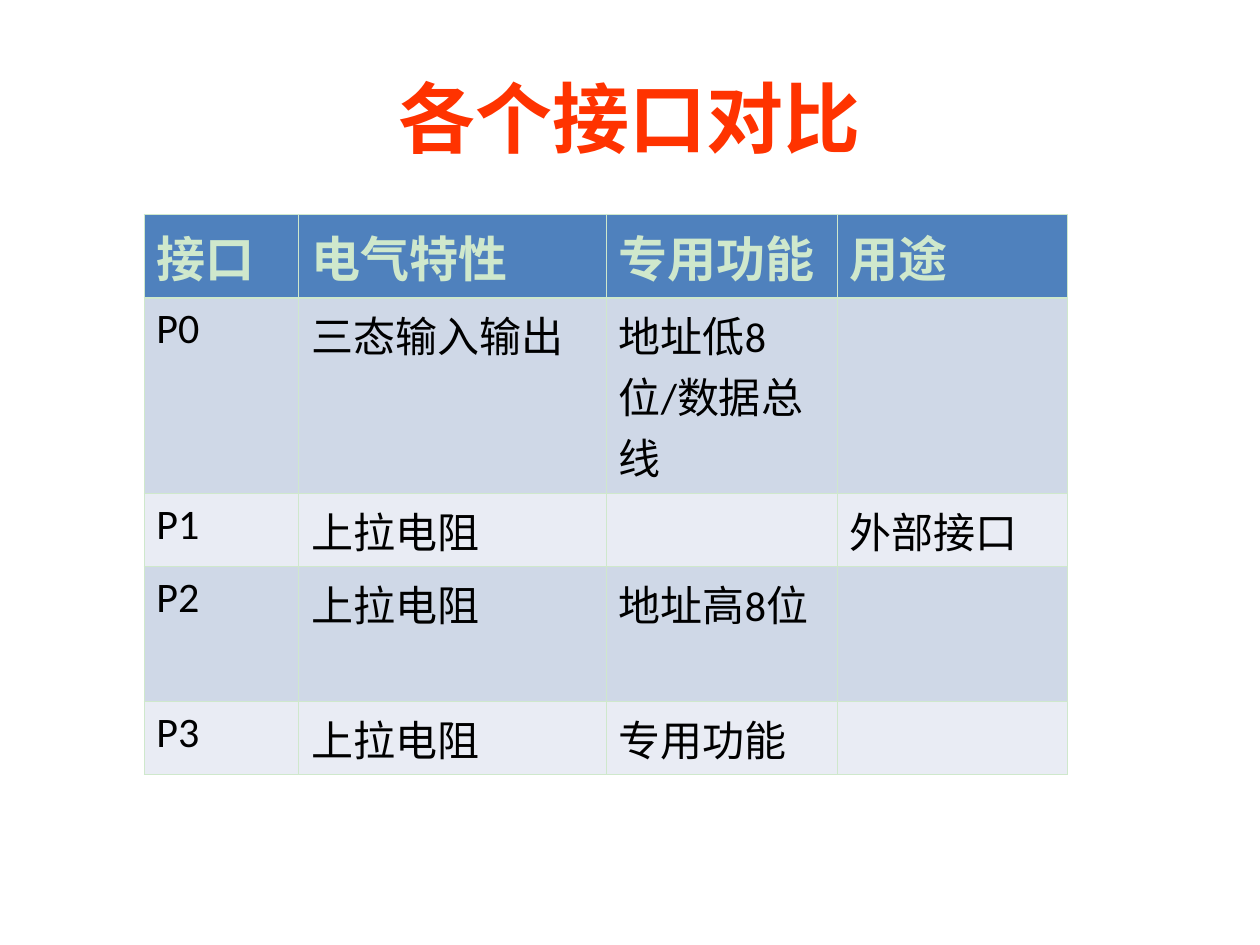
from lxml import etree
from pptx import Presentation
from pptx import util as u
from pptx.dml.color import RGBColor
from pptx.enum import text
from pptx.oxml import ns

RED = RGBColor(0xFF, 0x33, 0x00)
BLACK = RGBColor(0x00, 0x00, 0x00)
MINT = RGBColor(0xCF, 0xE8, 0xCC)
BLUE = RGBColor(0x4F, 0x81, 0xBD)
BANDS = [RGBColor(0xE9, 0xEC, 0xF4), RGBColor(0xCF, 0xD8, 0xE7)]

THIN, THICK = 0.45, 1.47

COLS = [3.12, 6.2, 4.65, 4.65]
ROWS = [1.47, 3.63, 1.47, 2.54, 1.47]
PORTS = [
    ["接口", "电气特性", "专用功能", "用途"],
    ["P0", "三态输入输出", "地址低8位/数据总线", ""],
    ["P1", "上拉电阻", "", "外部接口"],
    ["P2", "上拉电阻", "地址高8位", ""],
    ["P3", "上拉电阻", "专用功能", ""],
]


class Deck:
    def __init__(self):
        self.prs = Presentation()
        self.prs.slide_width, self.prs.slide_height = u.Cm(25.4), u.Cm(19.05)
        self.slide = self.prs.slides.add_slide(self.prs.slide_layouts[5])

    def style(self, para, name, size, color, bold):
        font = para.font
        font.name, font.size, font.bold = name, u.Pt(size), bold
        font.color.rgb = color

    def title(self, words, left, top, width, height):
        box = self.slide.shapes.title
        box.left, box.top = u.Cm(left), u.Cm(top)
        box.width, box.height = u.Cm(width), u.Cm(height)
        frame = box.text_frame
        frame.text = words
        frame.vertical_anchor = text.MSO_ANCHOR.MIDDLE
        para = frame.paragraphs[0]
        para.alignment = text.PP_ALIGN.CENTER
        self.style(para, "Arial", 44, RED, True)

    def edge(self, cell, side, width):
        props = cell._tc.get_or_add_tcPr()
        line = etree.SubElement(props, ns.qn(f"a:ln{side}"), w=str(u.Pt(width)))
        fill = etree.SubElement(line, ns.qn("a:solidFill"))
        etree.SubElement(fill, ns.qn("a:srgbClr"), val=str(MINT))

    def cell(self, cell, words, row):
        head = row == 0
        # Borders come before the fill in the cell's XML
        for side in "LRTB":
            thick = (row, side) in [(0, "B"), (1, "T")]
            self.edge(cell, side, THICK if thick else THIN)
        cell.fill.solid()
        cell.fill.fore_color.rgb = BLUE if head else BANDS[row % 2]
        cell.text = words
        size, color = (28, MINT) if head else (24, BLACK)
        self.style(cell.text_frame.paragraphs[0], "Calibri", size, color, head)

    def table(self, data, left, top, cols, rows):
        grid = self.slide.shapes.add_table(
            len(rows), len(cols), u.Cm(left), u.Cm(top),
            u.Cm(sum(cols)), u.Cm(sum(rows))).table
        for col, width in zip(grid.columns, cols):
            col.width = u.Cm(width)
        for r, (row, height) in enumerate(zip(grid.rows, rows)):
            row.height = u.Cm(height)
            for cell, words in zip(row.cells, data[r]):
                self.cell(cell, words, r)


def main():
    deck = Deck()
    # Heading
    deck.title("各个接口对比", 1.27, 0.76, 22.86, 3.18)
    # Port comparison
    deck.table(PORTS, 2.9, 4.32, COLS, ROWS)
    deck.prs.save("out.pptx")


if __name__ == "__main__":
    main()
